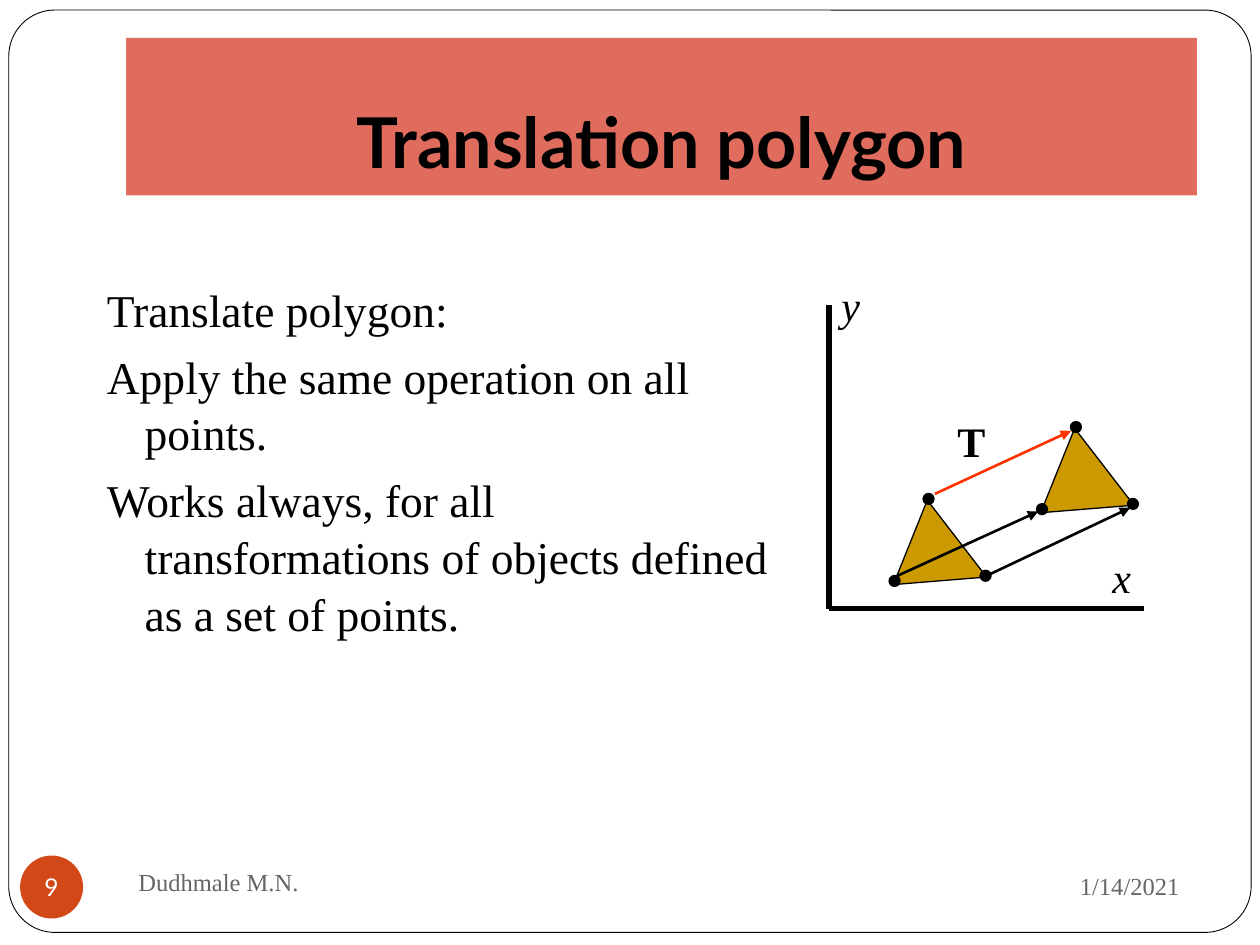
from dataclasses import dataclass

from lxml.etree import SubElement
from pptx import Presentation
from pptx.dml.color import RGBColor
from pptx.enum.shapes import MSO_CONNECTOR as Connector, MSO_SHAPE as Preset
from pptx.enum.text import MSO_ANCHOR as Anchor, MSO_AUTO_SIZE as AutoSize, PP_ALIGN as Align
from pptx.oxml.ns import qn
from pptx.util import Pt

BLACK = RGBColor(0x00, 0x00, 0x00)
WHITE = RGBColor(0xFF, 0xFF, 0xFF)
GREY = RGBColor(0x69, 0x64, 0x64)
CORAL = RGBColor(0xDF, 0x6C, 0x5D)
ORANGE = RGBColor(0xD3, 0x48, 0x17)
GOLD = RGBColor(0xCC, 0x99, 0x00)
RED = RGBColor(0xFF, 0x33, 0x00)
SERIF = "Times New Roman"
SANS = "Lato"
DOT_SIZE = 6
SHIFT = (84.24, -41.04)


@dataclass(frozen=True)
class Label:
    text: str
    box: tuple
    size: float = 24
    color: RGBColor = BLACK
    bold: bool = False
    italic: bool = False
    align: Align = Align.LEFT
    anchor: Anchor = Anchor.TOP
    wrap: bool = False


@dataclass(frozen=True)
class Segment:
    start: tuple
    end: tuple
    width: float = 1.5
    color: RGBColor = BLACK
    arrow: bool = True


TRIANGLE = [(529.92, 285.84), (510.48, 334.08), (563.76, 329.76)]
VERTICES = [(530.6, 285.1), (511.2, 332), (563.2, 329)]
ORIGIN = (473.76, 347.76)

SEGMENTS = [
    Segment(ORIGIN, (653.76, 347.76), width=3, arrow=False),
    Segment(ORIGIN, (473.76, 174.24), width=3, arrow=False),
    Segment((534.24, 282.24), (612, 246.24), color=RED),
    Segment((511.2, 329.76), (593.28, 292.32)),
    Segment((563.76, 329.04), (645.84, 290.16)),
]

LABELS = [
    Label("x", (628.56, 311.76, 25.2, 36), italic=True),
    Label("y", (473.76, 156.24, 25.2, 36), italic=True),
    Label("T", (540, 234, 30.24, 36), bold=True),
    Label("1/14/2021", (486, 487.44, 195.12, 37.44), 14, GREY,
          align=Align.RIGHT, anchor=Anchor.MIDDLE, wrap=True),
    Label("Dudhmale M.N.", (72, 486, 311.76, 36), 14, GREY,
          anchor=Anchor.MIDDLE, wrap=True),
]

BODY = [
    "Translate polygon:",
    "Apply the same operation on all points.",
    "Works always, for all transformations of objects defined as a set of points.",
]


def write_text(paragraph, text: str, *, size: float, font: str = SERIF,
               color: RGBColor = BLACK, bold: bool = False, italic: bool = False,
               align: Align = Align.LEFT) -> None:
    paragraph.alignment = align
    run = paragraph.add_run()
    run.text = text
    run.font.name = font
    run.font.size = Pt(size)
    run.font.bold = bold
    run.font.italic = italic
    run.font.color.rgb = color


def set_margins(frame, left: float, top: float, right: float, bottom: float) -> None:
    frame.margin_left, frame.margin_top = Pt(left), Pt(top)
    frame.margin_right, frame.margin_bottom = Pt(right), Pt(bottom)


def paint(shape, fill: RGBColor, line: RGBColor | None = None, width: float = 1) -> None:
    shape.shadow.inherit = False
    shape.fill.solid()
    shape.fill.fore_color.rgb = fill
    if line is None:
        shape.line.fill.background()
    else:
        shape.line.color.rgb = line
        shape.line.width = Pt(width)


def add_preset(slide, preset: Preset, box: tuple, fill: RGBColor, **line):
    shape = slide.shapes.add_shape(preset, *map(Pt, box))
    paint(shape, fill, **line)
    return shape


def add_label(slide, label: Label) -> None:
    frame = slide.shapes.add_textbox(*map(Pt, label.box)).text_frame
    frame.word_wrap = label.wrap
    frame.vertical_anchor = label.anchor
    write_text(frame.paragraphs[0], label.text, size=label.size, color=label.color,
               bold=label.bold, italic=label.italic, align=label.align)


def add_segment(slide, segment: Segment) -> None:
    connector = slide.shapes.add_connector(
        Connector.STRAIGHT, *map(Pt, segment.start + segment.end))
    connector.line.color.rgb = segment.color
    connector.line.width = Pt(segment.width)
    if segment.arrow:
        SubElement(connector.line._get_or_add_ln(), qn("a:tailEnd"), type="triangle")
    SubElement(connector._element.spPr, qn("a:effectLst"))


def add_polygon(slide, dx: float, dy: float) -> None:
    """Draw the triangle and its vertex dots, translated by (dx, dy)."""
    first, *others = [(Pt(x + dx), Pt(y + dy)) for x, y in TRIANGLE]
    builder = slide.shapes.build_freeform(*first)
    builder.add_line_segments(others, close=True)
    paint(builder.convert_to_shape(), GOLD, BLACK, 0.75)
    for x, y in VERTICES:
        corner = (x + dx - DOT_SIZE / 2, y + dy - DOT_SIZE / 2)
        add_preset(slide, Preset.OVAL, corner + (DOT_SIZE, DOT_SIZE), BLACK, line=BLACK)


def add_border(slide) -> None:
    border = add_preset(slide, Preset.ROUNDED_RECTANGLE, (5.04, 5.76, 709.92, 527.04),
                        WHITE, line=BLACK, width=0.5)
    border.adjustments[0] = 0.05
    slide.shapes._spTree.insert(2, border._element)  # behind the title


def format_title(title) -> None:
    title.left, title.top, title.width, title.height = map(Pt, (72, 21.6, 612, 90))
    paint(title, CORAL)
    frame = title.text_frame
    frame.auto_size = AutoSize.NONE
    frame.vertical_anchor = Anchor.BOTTOM
    set_margins(frame, 7.2, 3.6, 7.2, 7.2)
    write_text(frame.paragraphs[0], "Translation polygon", size=40, font=SANS,
               bold=True, align=Align.CENTER)


def add_body(slide) -> None:
    frame = slide.shapes.add_textbox(*map(Pt, (54, 156.24, 394.56, 227.52))).text_frame
    frame.word_wrap = True
    for index, text in enumerate(BODY):
        paragraph = frame.add_paragraph() if index else frame.paragraphs[0]
        properties = paragraph._p.get_or_add_pPr()
        properties.set("marL", str(Pt(21.6)))
        properties.set("indent", str(-Pt(21.6)))
        paragraph.line_spacing = 1.04
        if index:
            paragraph.space_before = Pt(5.8)
        write_text(paragraph, text, size=26)


def add_page_number(slide) -> None:
    badge = add_preset(slide, Preset.OVAL, (11.52, 488.88, 36, 36), ORANGE)
    frame = badge.text_frame
    frame.word_wrap = False
    frame.vertical_anchor = Anchor.MIDDLE
    set_margins(frame, 0, 0, 0, 0)
    write_text(frame.paragraphs[0], "9", size=14, font=SANS, color=WHITE, align=Align.CENTER)


def main() -> None:
    presentation = Presentation()
    presentation.slide_width, presentation.slide_height = Pt(720), Pt(540)
    slide = presentation.slides.add_slide(presentation.slide_layouts[5])
    add_border(slide)
    format_title(slide.shapes.title)
    add_body(slide)
    add_page_number(slide)
    for offset in ((0, 0), SHIFT):
        add_polygon(slide, *offset)
    for segment in SEGMENTS:
        add_segment(slide, segment)
    for label in LABELS:
        add_label(slide, label)
    presentation.save("out.pptx")


if __name__ == "__main__":
    main()
